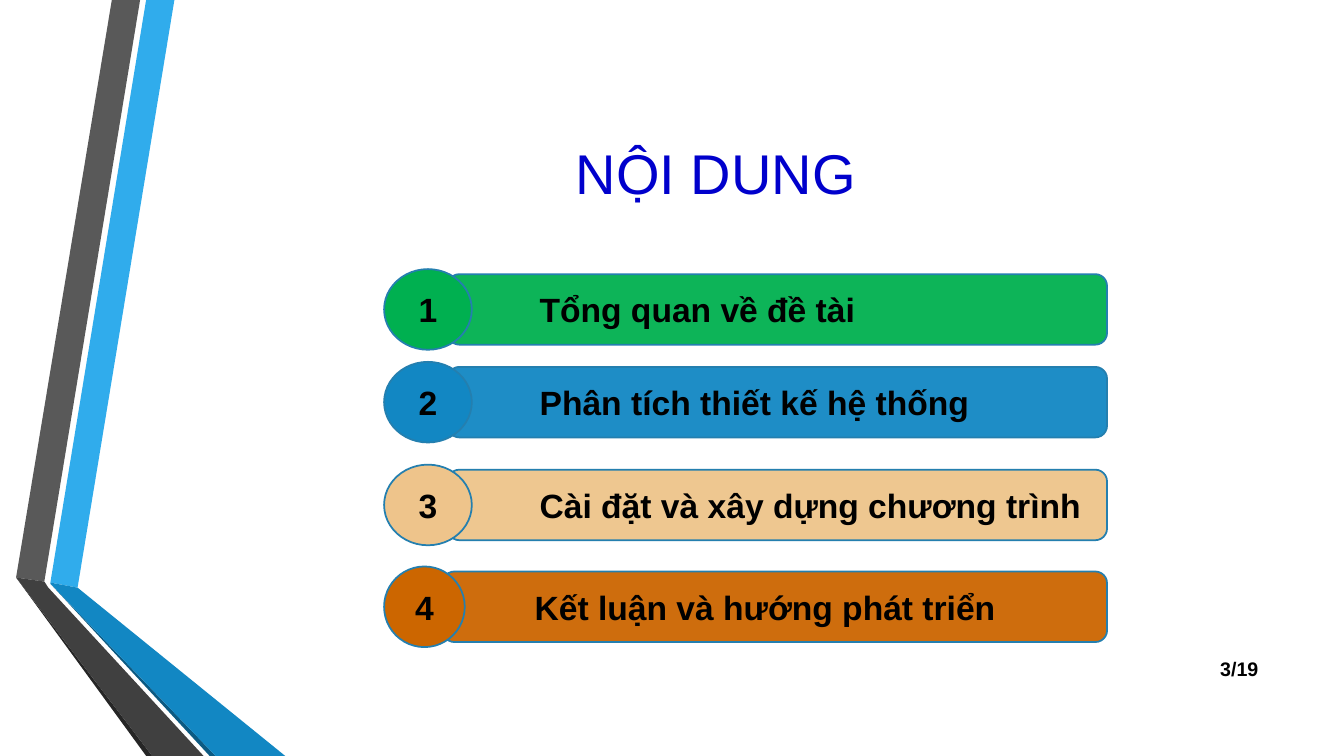
from typing import NamedTuple

from lxml import etree
from pptx import Presentation
from pptx import util as u
from pptx.dml.color import RGBColor
from pptx.enum import shapes, text
from pptx.oxml.ns import qn

PX = 9144  # EMU per px, 100 px to the inch
FONT = "Arial"
COLORS = {
    "sky": "30ACEC", "grey": "595959", "black_fold": "262626",
    "navy_fold": "0C5A82", "blue": "1287C3", "dark_grey": "404040",
    "title": "0000CC", "ink": "000000", "outline": "247FAF",
    "green": "00B050", "sand": "EEC48B", "orange": "CC6600",
}


class Ribbon(NamedTuple):
    color: str
    points: list[tuple[int, int]]


class Topic(NamedTuple):
    label: str
    color: str
    top: int
    badge_width: int = 87
    bar_left: int = 444


class Caption(NamedTuple):
    wording: str
    box: tuple[int, int, int, int]
    size: int
    color: str
    align: text.PP_ALIGN
    bold: bool = False


RIBBONS = [
    Ribbon("sky", [(50, 578), (77, 583), (173, 0), (145, 0)]),
    Ribbon("grey", [(139, 0), (111, 0), (16, 573), (44, 577)]),
    Ribbon("black_fold", [(16, 573), (145, 750), (151, 750)]),
    Ribbon("navy_fold", [(50, 579), (208, 750), (214, 750)]),
    Ribbon("blue", [(50, 578), (50, 579), (214, 750), (283, 750), (77, 583)]),
    Ribbon("dark_grey", [(202, 750), (48, 583), (44, 577), (16, 573), (151, 750)]),
]
TOPICS = [
    Topic("Tổng quan về đề tài", "green", 267),
    Topic("Phân tích thiết kế hệ thống", "blue", 359),
    Topic("Cài đặt và xây dựng chương trình", "sand", 461),
    Topic("Kết luận và hướng phát triển", "orange", 562, 80, 439),
]
CAPTIONS = [
    Caption("NỘI DUNG", (162, 75, 1096, 192), 40, "title", text.PP_ALIGN.CENTER),
    Caption("3/19", (1198, 643, 60, 40), 14, "ink", text.PP_ALIGN.RIGHT, True),
]
BADGE_LEFT, BADGE_HEIGHT = 381, 80
BAR_RIGHT, BAR_HEIGHT, BAR_INDENT = 1098, 70, 78
BAR_OPACITY = 95


def rgb(name: str) -> RGBColor:
    return RGBColor.from_string(COLORS[name])


def write(shape, wording: str, size: int, color: str, align: text.PP_ALIGN,
          bold: bool = True) -> None:
    frame = shape.text_frame
    frame.word_wrap = True
    frame.vertical_anchor = text.MSO_ANCHOR.MIDDLE
    line = frame.paragraphs[0]
    line.text = wording
    line.alignment = align
    line.font.name = FONT
    line.font.size = u.Pt(size)
    line.font.bold = bold
    line.font.color.rgb = rgb(color)


def paint(shape, color: str) -> None:
    shape.shadow.inherit = False
    shape.fill.solid()
    shape.fill.fore_color.rgb = rgb(color)


def draw_ribbon(slide, ribbon: Ribbon) -> None:
    start, *rest = ribbon.points
    builder = slide.shapes.build_freeform(*start, scale=PX)
    builder.add_line_segments(rest, close=True)
    band = builder.convert_to_shape()
    paint(band, ribbon.color)
    band.line.fill.background()


def draw_outlined(slide, kind: shapes.MSO_SHAPE, box: tuple[int, int, int, int],
                  color: str):
    shape = slide.shapes.add_shape(kind, *(v * PX for v in box))
    paint(shape, color)
    shape.line.color.rgb = rgb("outline")
    shape.line.width = u.Pt(1.25)
    return shape


def draw_topic(slide, number: int, topic: Topic) -> None:
    bar_top = topic.top + (BADGE_HEIGHT - BAR_HEIGHT) // 2
    bar = draw_outlined(
        slide, shapes.MSO_SHAPE.ROUNDED_RECTANGLE,
        (topic.bar_left, bar_top, BAR_RIGHT - topic.bar_left, BAR_HEIGHT), topic.color)
    fill_color = bar.fill._xPr.find(qn("a:solidFill"))[0]
    etree.SubElement(fill_color, qn("a:alpha"), val=str(BAR_OPACITY * 1000))
    write(bar, topic.label, 24, "ink", text.PP_ALIGN.LEFT)
    bar.text_frame.paragraphs[0]._p.get_or_add_pPr().set("marL", str(BAR_INDENT * PX))

    badge = draw_outlined(
        slide, shapes.MSO_SHAPE.OVAL,
        (BADGE_LEFT, topic.top, topic.badge_width, BADGE_HEIGHT), topic.color)
    write(badge, str(number), 24, "ink", text.PP_ALIGN.CENTER)


def draw_caption(slide, caption: Caption) -> None:
    box = slide.shapes.add_textbox(*(v * PX for v in caption.box))
    write(box, caption.wording, caption.size, caption.color, caption.align, caption.bold)


def main() -> None:
    deck = Presentation()
    deck.slide_width, deck.slide_height = 1333 * PX, 750 * PX
    slide = deck.slides.add_slide(deck.slide_layouts[6])

    # Folded ribbons on the left
    for ribbon in RIBBONS:
        draw_ribbon(slide, ribbon)

    # Numbered contents
    for number, topic in enumerate(TOPICS, start=1):
        draw_topic(slide, number, topic)

    # Heading and page number
    for caption in CAPTIONS:
        draw_caption(slide, caption)

    deck.save("out.pptx")


if __name__ == "__main__":
    main()
